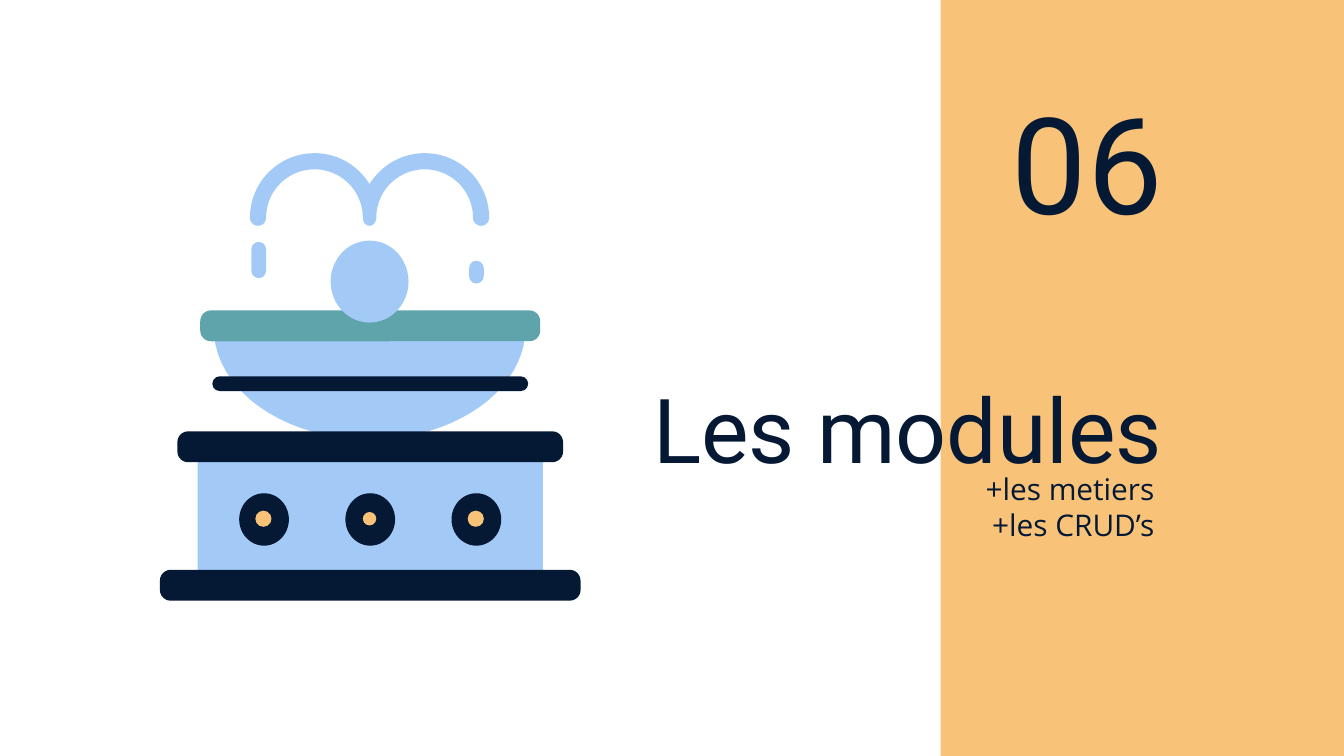
"""Build the section slide "Les modules" with a fountain illustration."""
from math import cos, radians, sin

from pptx import Presentation
from pptx.dml.color import RGBColor
from pptx.enum.shapes import MSO_SHAPE
from pptx.enum.text import MSO_ANCHOR, MSO_AUTO_SIZE, PP_ALIGN
from pptx.util import Inches, Pt

RECT, ROUNDED, OVAL = MSO_SHAPE.RECTANGLE, MSO_SHAPE.ROUNDED_RECTANGLE, MSO_SHAPE.OVAL
TOP, MIDDLE, BOTTOM = MSO_ANCHOR.TOP, MSO_ANCHOR.MIDDLE, MSO_ANCHOR.BOTTOM
RIGHT, FIXED_SIZE = PP_ALIGN.RIGHT, MSO_AUTO_SIZE.NONE
NAVY = RGBColor(0x05, 0x19, 0x34)
ORANGE = RGBColor(0xF8, 0xC3, 0x79)
BLUE = RGBColor(0xA3, 0xCA, 0xF7)
TEAL = RGBColor(0x5F, 0xA4, 0xAB)


def paint(shape, color):
    shape.fill.solid()
    shape.fill.fore_color.rgb = color
    shape.line.fill.background()
    shape.shadow.inherit = False


def arc(center_x, center_y, radius_x, radius_y, start, end):
    angles = [radians(start + (end - start) * step / 40) for step in range(41)]
    return [(Inches(center_x + radius_x * cos(angle)), Inches(center_y - radius_y * sin(angle)))
            for angle in angles]


deck = Presentation()
deck.slide_width, deck.slide_height = Inches(10), Inches(10 * 9 / 16)
page = deck.slides.add_slide(deck.slide_layouts[0])
title, subtitle = page.placeholders

panel = page.shapes.add_shape(RECT, Inches(7), 0, Inches(3), deck.slide_height)
paint(panel, ORANGE)
title._element.addprevious(panel._element)

number = page.shapes.add_textbox(0, 0, 0, 0)
texts = [
    (title, "Les modules", 4.12, 2.8, 4.63, 0.92, MIDDLE, "Roboto", 48, 0.8),
    (number, "06", 6, 1.04, 2.75, 0.86, BOTTOM, "Roboto", 72, 1.0),
    (subtitle, "+les metiers\n+les CRUD’s", 5.21, 3.4, 3.48, 0.59, TOP, "Open Sans", 16, 1.0),
]
for box, words, left, top, width, height, anchor, font, size, spacing in texts:
    box.left, box.top = Inches(left), Inches(top)
    box.width, box.height = Inches(width), Inches(height)
    frame = box.text_frame
    frame.text = words
    frame.word_wrap = True
    frame.auto_size = FIXED_SIZE
    frame.vertical_anchor = anchor
    frame.margin_left = frame.margin_right = Inches(0.1)
    frame.margin_top = frame.margin_bottom = Inches(0.1)
    for para in frame.paragraphs:
        para.alignment = RIGHT
        para.line_spacing = spacing
        para.space_before = Pt(0)
        for span in para.runs:
            span.font.name = font
            span.font.size = Pt(size)
            span.font.color.rgb = NAVY

fountain = page.shapes.add_group_shape()

bowl = arc(2.75, 2.44, 1.16, 0.83, 180, 360)
water = (arc(2.34, 1.62, 0.48, 0.48, 180, 31) + arc(3.16, 1.62, 0.48, 0.48, 149, 0)
         + arc(3.58, 1.62, 0.06, 0.06, 0, -180) + arc(3.16, 1.62, 0.36, 0.36, 0, 180)
         + arc(2.75, 1.62, 0.05, 0.06, 0, -180) + arc(2.34, 1.62, 0.36, 0.36, 0, 180)
         + arc(1.92, 1.62, 0.06, 0.06, 0, -180))
for outline in (bowl, water):
    builder = fountain.shapes.build_freeform(*outline[0])
    builder.add_line_segments(outline[1:], close=True)
    paint(builder.convert_to_shape(), BLUE)

parts = [
    (ROUNDED, 1.49, 2.31, 2.53, 0.23, TEAL, 0.35),
    (RECT, 1.47, 3.37, 2.57, 0.96, BLUE, None),
    (ROUNDED, 1.32, 3.21, 2.87, 0.23, NAVY, 0.35),
    (ROUNDED, 1.87, 1.8, 0.11, 0.27, BLUE, 0.5),
    (ROUNDED, 3.49, 1.94, 0.11, 0.17, BLUE, 0.5),
    (ROUNDED, 1.19, 4.24, 3.13, 0.23, NAVY, 0.35),
    (ROUNDED, 1.58, 2.8, 2.35, 0.11, NAVY, 0.5),
    (OVAL, 2.46, 1.79, 0.58, 0.61, BLUE, None),
]
for index, hole in enumerate([0.12, 0.1, 0.12]):
    center = 1.96 + index * 0.79
    parts.append((OVAL, center - 0.18, 3.67, 0.37, 0.39, NAVY, None))
    parts.append((OVAL, center - hole / 2, 3.86 - hole / 2, hole, hole, ORANGE, None))

for kind, left, top, width, height, color, rounding in parts:
    part = fountain.shapes.add_shape(kind, Inches(left), Inches(top), Inches(width), Inches(height))
    paint(part, color)
    if rounding:
        part.adjustments[0] = rounding

deck.save("out.pptx")
